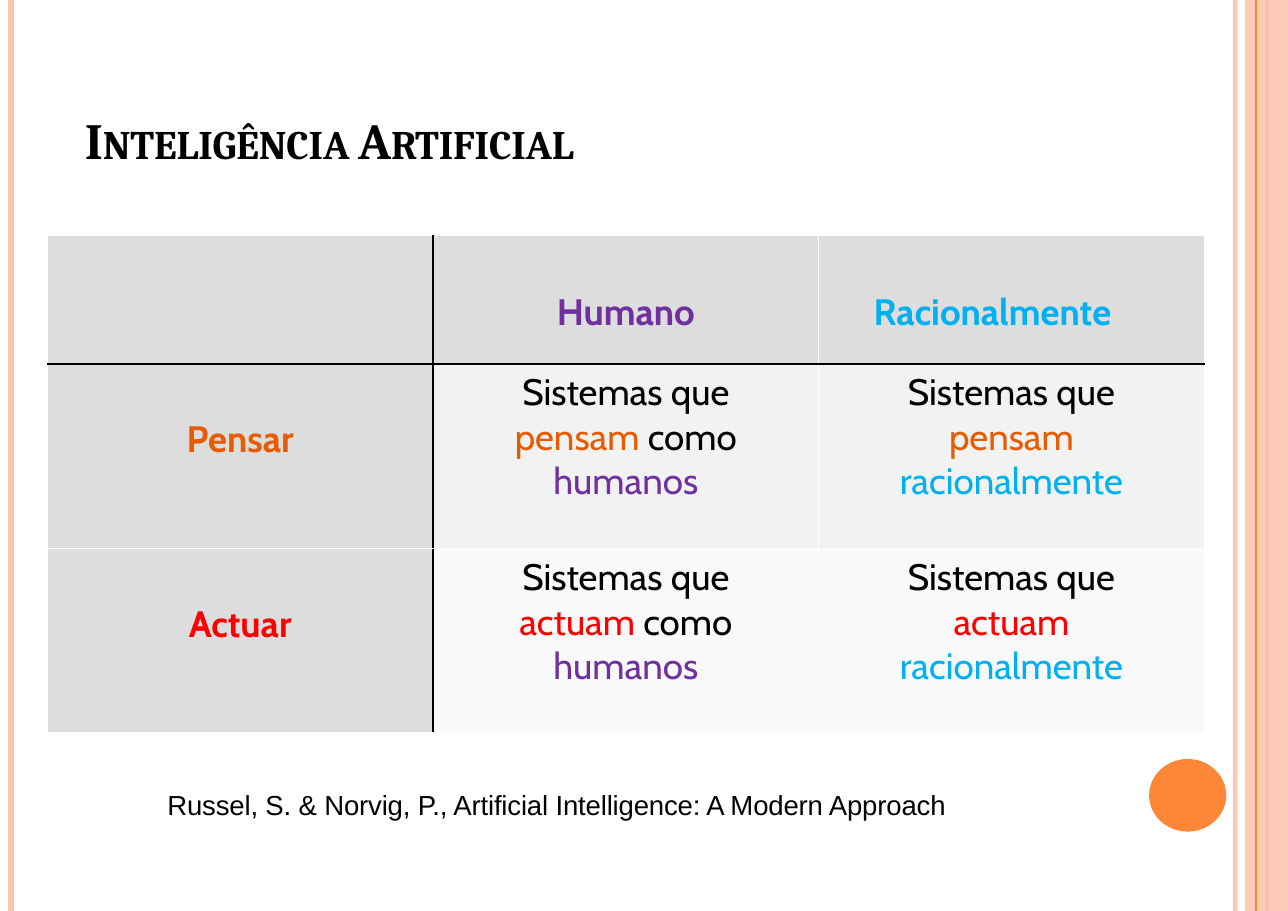
"""Build the slide on the four views of artificial intelligence."""
from pptx import Presentation
from pptx.dml.color import RGBColor
from pptx.enum import shapes as kinds, text as txt
from pptx.oxml import ns, xmlchemy as xml
from pptx.util import Inches, Pt

BLACK, WHITE, PEACH, ORANGE = "000000", "FFFFFF", "FEC3AE", "FE8637"
THINK, ACT, HUMAN, LOGIC = "E75C01", "FF0000", "7030A0", "00B0F0"
HEAD = "DDDDDD"
CABIN = {"name": "Cabin", "size": Pt(24)}

TITLE = "Inteligência Artificial"
CREDIT = "Russel, S. & Norvig, P., Artificial Intelligence: A Modern Approach"
START = ("Sistemas que ", BLACK)
ROWS = [
    (1.16, HEAD, [[], [("Humano", HUMAN)], [("Racionalmente", LOGIC)]]),
    (1.68, "F2F2F2", [
        [("Pensar", THINK)],
        [START, ("pensam ", THINK), ("como ", BLACK), ("humanos", HUMAN)],
        [START, ("pensam ", THINK), ("racionalmente", LOGIC)]]),
    (1.67, "F9F9F9", [
        [("Actuar", ACT)],
        [START, ("actuam ", ACT), ("como ", BLACK), ("humanos", HUMAN)],
        [START, ("actuam ", ACT), ("racionalmente", LOGIC)]]),
]
BACK = [(11.21, PEACH, 3, 93), (0.1, PEACH, 4.5, 100), (11.5, ORANGE, 1.5, 100)]
FRONT = [(11.4, ORANGE, 0.75, 100)]
COLS, WIDE, HIGH = 3, 11.69, 8.27


def put(item, **vals):
    for key, val in vals.items():
        setattr(item, key, val)


def tint(hue):
    return RGBColor.from_string(hue)


def paint(fill, hue, alpha=100):
    fill.solid()
    fill.fore_color.rgb = tint(hue)
    if alpha < 100:
        node = fill._xPr.find(".//" + ns.qn("a:srgbClr"))
        add(node, "a:alpha", val=alpha * 1000)


def add(node, tag, **vals):
    child = xml.OxmlElement(tag)
    for key, val in vals.items():
        child.set(key, str(val))
    node.append(child)
    return child


def write(par, words, hue, **look):
    run = par.add_run()
    run.text = words
    put(run.font, **look)
    run.font.color.rgb = tint(hue)
    return run


def rule(slide, x, hue, width, alpha):
    line = slide.shapes.add_connector(
        kinds.MSO_CONNECTOR.STRAIGHT, Inches(x), 0, Inches(x), Inches(HIGH))
    line.line.width = Pt(width)
    paint(line.line.fill, hue, alpha)
    add(line._element.spPr, "a:effectLst")


def block(slide, kind, box, hue, alpha=100):
    shape = slide.shapes.add_shape(kind, *map(Inches, box))
    shape.shadow.inherit = False
    paint(shape.fill, hue, alpha)
    shape.line.fill.background()


def edge(cell, row, col):
    dark = {"L": col == 1, "R": col == 0, "T": row == 1, "B": row == 0}
    props = cell._tc.get_or_add_tcPr()
    for side, bold in dark.items():
        line = add(props, "a:ln" + side, w=Pt(1.5 if bold else 1))
        fill = add(line, "a:solidFill")
        add(fill, "a:srgbClr", val=BLACK if bold else WHITE)


def grid(slide):
    tall = sum(row[0] for row in ROWS)
    table = slide.shapes.add_table(
        len(ROWS), COLS, *map(Inches, (0.43, 2.14, 3.5 * COLS, tall))).table
    put(table, first_row=False, horz_banding=False)
    for r, (high, shade, cells) in enumerate(ROWS):
        table.rows[r].height = Inches(high)
        for c, runs in enumerate(cells):
            cell = table.cell(r, c)
            label = r == 0 or c == 0
            left = r == 0 and c == 2
            side = Inches(0.5 if left else 0.55)
            put(cell, margin_left=side, margin_right=side, margin_bottom=0,
                margin_top=Inches(0.49 if label else 0.06))
            edge(cell, r, c)
            paint(cell.fill, HEAD if label else shade)
            par = cell.text_frame.paragraphs[0]
            par.alignment = txt.PP_ALIGN.LEFT if left else txt.PP_ALIGN.CENTER
            for words, hue in runs:
                write(par, words, hue, bold=label, **CABIN)


def label(shape, box, words, anchor, **look):
    put(shape, **dict(zip(("left", "top", "width", "height"), map(Inches, box))))
    put(shape.text_frame, margin_left=Inches(0.01), margin_right=0,
        margin_top=Inches(0.01), margin_bottom=0, word_wrap=True,
        auto_size=txt.MSO_AUTO_SIZE.NONE, vertical_anchor=anchor)
    par = shape.text_frame.paragraphs[0]
    put(par, alignment=txt.PP_ALIGN.LEFT, space_before=Pt(1))
    run = write(par, words, BLACK, **look)
    run._r.get_or_add_rPr().set("spc", "-10")
    return run


def main():
    deck = Presentation()
    put(deck, slide_width=Inches(WIDE), slide_height=Inches(HIGH))
    slide = deck.slides.add_slide(deck.slide_layouts[5])
    paint(slide.background.fill, WHITE)
    for args in BACK:
        rule(slide, *args)
    shape = kinds.MSO_SHAPE
    block(slide, shape.RECTANGLE, (11.3, 0, 0.39, HIGH), PEACH, 87)
    for args in FRONT:
        rule(slide, *args)
    block(slide, shape.OVAL, (10.43, 6.89, 0.7, 0.66), ORANGE)
    head = label(slide.shapes.title, (0.76, 0.97, 7.17, 0.57), TITLE,
                 txt.MSO_ANCHOR.BOTTOM, name="Cambria", size=Pt(33.1), bold=True)
    head._r.get_or_add_rPr().set("cap", "small")
    grid(slide)
    note = slide.shapes.add_textbox(0, 0, 0, 0)
    label(note, (1.51, 7.14, 7.26, 0.33), CREDIT, txt.MSO_ANCHOR.TOP,
          name="Arial", size=Pt(18))
    deck.save("out.pptx")


if __name__ == "__main__":
    main()
